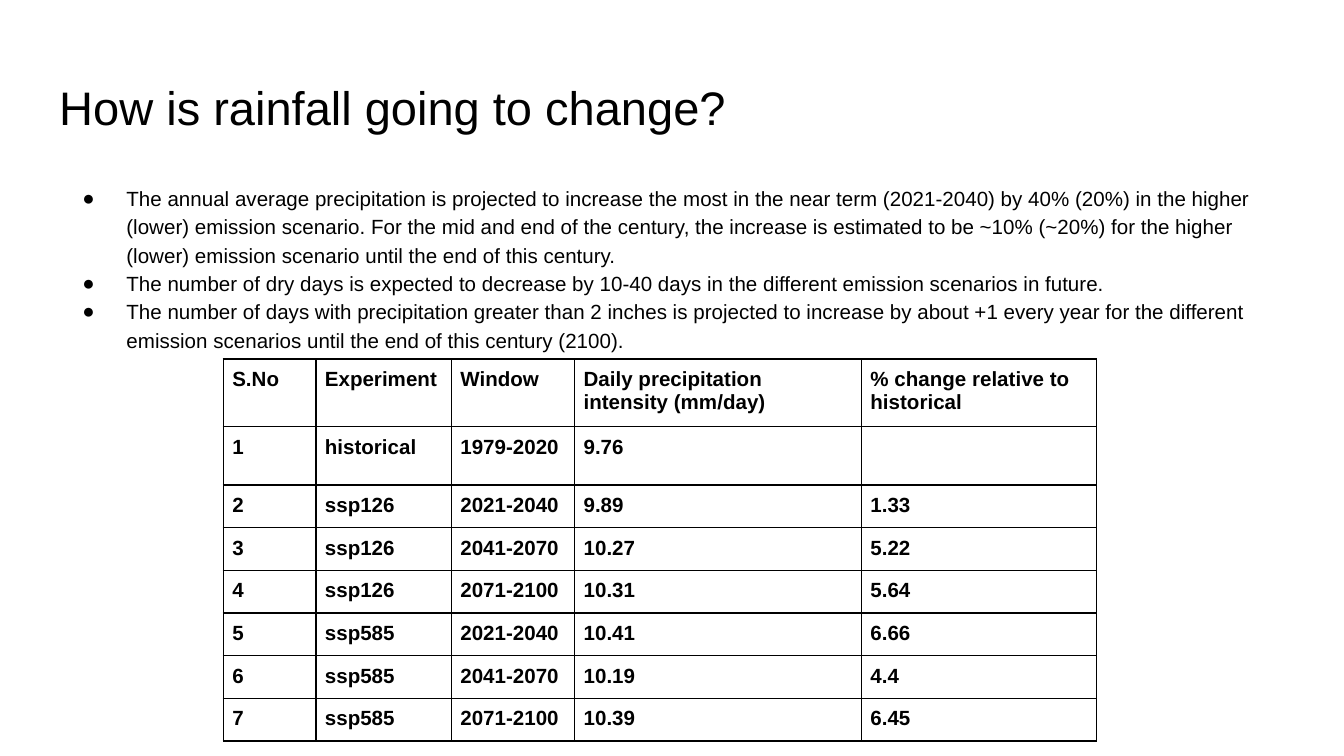
from dataclasses import dataclass

from lxml.etree import SubElement
from pptx import Presentation
from pptx.dml.color import RGBColor
from pptx.oxml.ns import qn
from pptx.util import Cm, Pt


@dataclass(frozen=True)
class Theme:
    font: str = "Arial"
    ink: str = "000000"
    paper: str = "FFFFFF"
    title: float = 25.2
    body: float = 11
    border: float = 1


THEME = Theme()
TITLE = "How is rainfall going to change?"
FINDINGS = [
    "The annual average precipitation is projected to increase the most in the near term "
    "(2021-2040) by 40% (20%) in the higher (lower) emission scenario. For the mid and end "
    "of the century, the increase is estimated to be ~10% (~20%) for the higher (lower) "
    "emission scenario until the end of this century.",
    "The number of dry days is expected to decrease by 10-40 days in the different emission "
    "scenarios in future.",
    "The number of days with precipitation greater than 2 inches is projected to increase by "
    "about +1 every year for the different emission scenarios until the end of this century "
    "(2100).",
]
HEADER = ["S.No", "Experiment", "Window", "Daily precipitation intensity (mm/day)",
          "% change relative to historical"]
RESULTS = [
    ("historical", "1979-2020", "9.76", ""),
    ("ssp126", "2021-2040", "9.89", "1.33"),
    ("ssp126", "2041-2070", "10.27", "5.22"),
    ("ssp126", "2071-2100", "10.31", "5.64"),
    ("ssp585", "2021-2040", "10.41", "6.66"),
    ("ssp585", "2041-2070", "10.19", "4.4"),
    ("ssp585", "2071-2100", "10.39", "6.45"),
]
COLUMN_WIDTHS = [1.75, 2.56, 2.33, 5.42, 4.44]
HEADER_HEIGHT, BASELINE_HEIGHT, ROW_HEIGHT = 1.23, 1.07, 0.78


def set_margins(target, margin):
    for side in ("left", "top", "right", "bottom"):
        setattr(target, f"margin_{side}", Cm(margin))


def write(p, text, size=THEME.body, bold=False, spacing=None):
    if spacing:
        p.line_spacing = spacing
    r = p.add_run()
    r.text = text
    r.font.name = THEME.font
    r.font.size = Pt(size)
    r.font.bold = bold
    r.font.color.rgb = RGBColor.from_string(THEME.ink)


def add_bullet(p):
    pPr = p._p.get_or_add_pPr()
    pPr.set("marL", str(Cm(1.27)))
    pPr.set("indent", str(Cm(-0.83)))
    color = SubElement(pPr, qn("a:buClr"))
    SubElement(color, qn("a:srgbClr"), val=THEME.ink)
    SubElement(pPr, qn("a:buFont"), typeface=THEME.font)
    SubElement(pPr, qn("a:buChar"), char="●")


def add_text(s, top, height, texts, bullets=False, **style):
    sp = s.shapes.add_textbox(Cm(0.87), Cm(top), Cm(23.67), Cm(height))
    tf = sp.text_frame
    tf.word_wrap = True
    set_margins(tf, 0.25)
    for i, text in enumerate(texts):
        p = tf.add_paragraph() if i else tf.paragraphs[0]
        write(p, text, **style)
        if bullets:
            add_bullet(p)


def add_borders(cell):
    tcPr = cell._tc.get_or_add_tcPr()
    for i, side in enumerate(("lnL", "lnR", "lnT", "lnB")):
        line = SubElement(tcPr, qn(f"a:{side}"), w=str(Pt(THEME.border)))
        fill = SubElement(line, qn("a:solidFill"))
        SubElement(fill, qn("a:srgbClr"), val=THEME.ink)
        tcPr.insert(i, line)


def add_results(s, left, top):
    rows = [HEADER] + [(str(i), *row) for i, row in enumerate(RESULTS, 1)]
    heights = [HEADER_HEIGHT, BASELINE_HEIGHT] + [ROW_HEIGHT] * (len(rows) - 2)
    frame = s.shapes.add_table(len(rows), len(HEADER), Cm(left), Cm(top),
                               Cm(sum(COLUMN_WIDTHS)), Cm(sum(heights)))
    table = frame.table
    table.first_row = table.horz_banding = False
    for column, width in zip(table.columns, COLUMN_WIDTHS):
        column.width = Cm(width)
    for row, height, values in zip(table.rows, heights, rows):
        row.height = Cm(height)
        for cell, value in zip(row.cells, values):
            set_margins(cell, 0.17)
            cell.fill.solid()
            cell.fill.fore_color.rgb = RGBColor.from_string(THEME.paper)
            add_borders(cell)
            if value:
                write(cell.text_frame.paragraphs[0], value, bold=True)


def main():
    prs = Presentation()
    prs.slide_width, prs.slide_height = Cm(25.4), Cm(14.29)
    s = prs.slides.add_slide(prs.slide_layouts[6])
    add_text(s, 1.24, 1.6, [TITLE], size=THEME.title)
    add_text(s, 3.2, 9.5, FINDINGS, bullets=True, spacing=1.15)
    add_results(s, 4.22, 6.79)
    prs.save("out.pptx")


if __name__ == "__main__":
    main()
